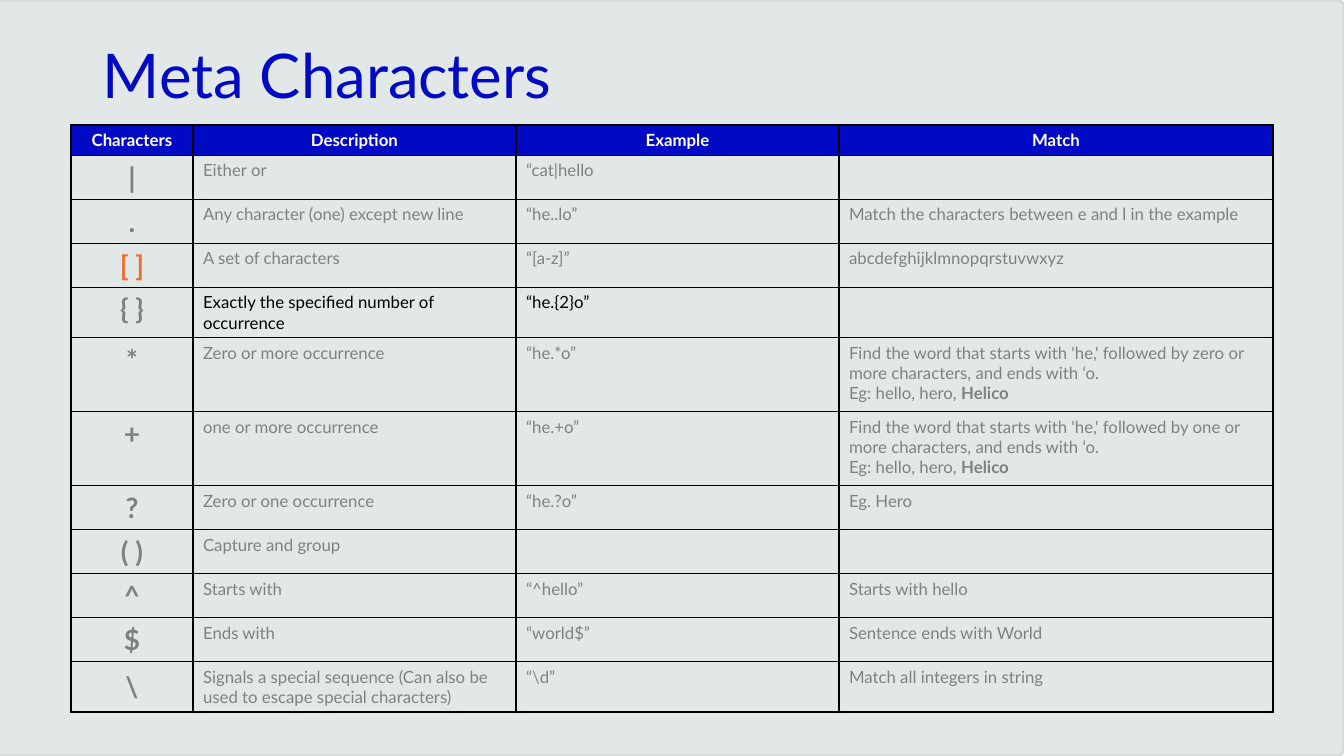
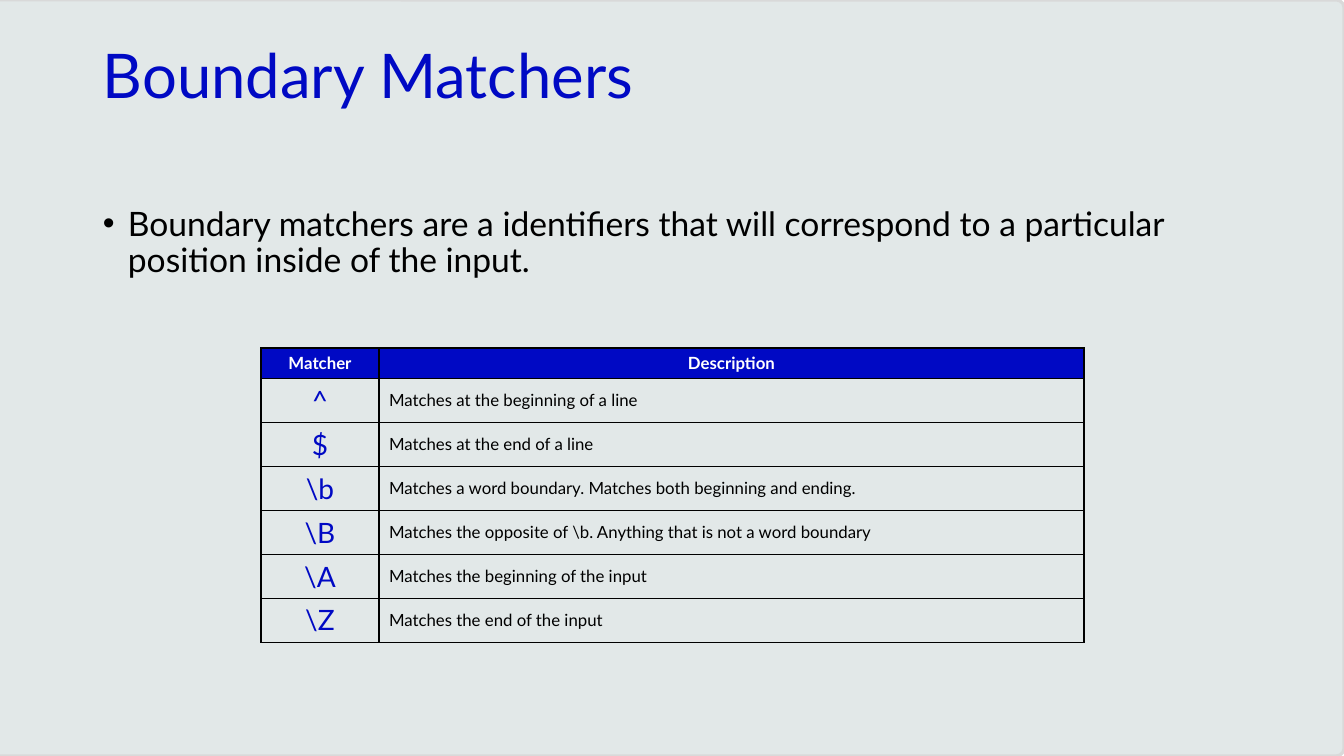
import pptx
import pptx.dml.color
import pptx.enum.shapes
import pptx.enum.text
import pptx.oxml
import pptx.oxml.ns
import pptx.util

SCALE = 914400 / 100.8
WIDE, HIGH = 1344, 756
FONT = "Lato"
COLORS = {
    "back": "E2E8E8",
    "edge": "D9D9D9",
    "blue": "0009C4",
    "white": "FFFFFF",
    "black": "000000",
    "gray": "808080",
    "orange": "E97132",
}
ALIGN = pptx.enum.text.PP_ALIGN
ANCHOR = pptx.enum.text.MSO_ANCHOR
ROW, HEAD = 44, 30

META = [
    ("|", "Either or", "“cat|hello", ""),
    (".", "Any character (one) except new line", "“he..lo”",
     "Match the characters between e and l in the example"),
    ("[ ]", "A set of characters", "“[a-z]”", "abcdefghijklmnopqrstuvwxyz"),
    ("{ }", "Exactly the specified number of occurrence", "“he.{2}o”", ""),
    ("*", "Zero or more occurrence", "“he.*o”",
     ["Find the word that starts with 'he,' followed by zero or more characters, and ends with ‘o.",
      ("Eg: hello, hero, ", "Helico")]),
    ("+", "one or more occurrence", "“he.+o”",
     ["Find the word that starts with 'he,' followed by one or more characters, and ends with ‘o.",
      ("Eg: hello, hero, ", "Helico")]),
    ("?", "Zero or one occurrence", "“he.?o”", "Eg. Hero"),
    ("( )", "Capture and group", "", ""),
    ("^", "Starts with", "“^hello”", "Starts with hello"),
    ("$", "Ends with", "“world$”", "Sentence ends with World"),
    ("\\", "Signals a special sequence (Can also be used to escape special characters)",
     r"“\d”", "Match all integers in string"),
]
BOUNDS = [
    ("^", "Matches at the beginning of a line"),
    ("$", "Matches at the end of a line"),
    (r"\b", "Matches a word boundary. Matches both beginning and ending."),
    (r"\B", r"Matches the opposite of \b. Anything that is not a word boundary"),
    (r"\A", "Matches the beginning of the input"),
    (r"\Z", "Matches the end of the input"),
]


def px(size):
    """Turn px into EMU."""
    return pptx.util.Emu(round(size * SCALE))


def rgb(name):
    """Look up a named colour."""
    return pptx.dml.color.RGBColor.from_string(COLORS[name])


def node(tag, **attrs):
    """Make one drawing element."""
    item = pptx.oxml.parse_xml(f"<{tag} {pptx.oxml.ns.nsdecls('a')}/>")
    for key, value in attrs.items():
        item.set(key, str(value))
    return item


def write(frame, text, size=12, color="black", bold=False, align=ALIGN.LEFT,
          space=None, before=None, bullet=False):
    """Write paragraphs; a tuple holds a plain part and a bold part."""
    frame.word_wrap = True
    for i, line in enumerate(text if isinstance(text, list) else [text]):
        para = frame.add_paragraph() if i else frame.paragraphs[0]
        para.alignment = align
        para.font.size = pptx.util.Pt(size)
        if space:
            para.line_spacing = space
        if before:
            para.space_before = pptx.util.Pt(before)
        if bullet:
            props = para._p.get_or_add_pPr()
            props.set("marL", str(px(25)))
            props.set("indent", str(-px(25)))
            mark = node("a:buChar", char="•")
            props.insert_element_before(mark, "a:tabLst", "a:defRPr", "a:extLst")
            mark.addprevious(node("a:buFont", typeface="Arial"))
        for j, part in enumerate(line if isinstance(line, tuple) else (line,)):
            if part:
                run = para.add_run()
                run.text = part
                run.font.name = FONT
                run.font.size = pptx.util.Pt(size)
                run.font.bold = bold or j > 0
                run.font.color.rgb = rgb(color)


def label(slide, box, text, **style):
    """Place a text box."""
    shape = slide.shapes.add_textbox(*map(px, box))
    write(shape.text_frame, text, **style)


def base(deck, title):
    """Add a slide with its panel and title."""
    slide = deck.slides.add_slide(deck.slide_layouts[6])
    panel = slide.shapes.add_shape(
        pptx.enum.shapes.MSO_SHAPE.ROUNDED_RECTANGLE,
        *map(px, (-12, 0, WIDE + 12, HIGH)))
    panel.adjustments[0] = 0.01
    panel.shadow.inherit = False
    panel.fill.solid()
    panel.fill.fore_color.rgb = rgb("back")
    panel.line.color.rgb = rgb("edge")
    panel.line.width = pptx.util.Pt(2.25)
    label(slide, (93, 40, 1159, 146), title, size=44, color="blue", space=0.9)
    return slide


def border(cell):
    """Draw a thin black line on all sides of a cell."""
    props = cell._tc.get_or_add_tcPr()
    for side in "LRTB":
        line = node(f"a:ln{side}", w=pptx.util.Pt(1))
        fill = node("a:solidFill")
        fill.append(node("a:srgbClr", val=COLORS["black"]))
        line.append(fill)
        props.append(line)


def grid(slide, left, top, cols, rows, heads, body, look):
    """Place a table, with body formats given by look(mark, column)."""
    frame = slide.shapes.add_table(
        len(rows), len(cols), *map(px, (left, top, sum(cols), sum(rows))))
    table = frame.table
    table.horz_banding = False
    for col, width in zip(table.columns, cols):
        col.width = px(width)
    for row, height in zip(table.rows, rows):
        row.height = px(height)
    for r, line in enumerate([heads, *body]):
        for c, text in enumerate(line):
            cell = table.cell(r, c)
            border(cell)
            if r:
                cell.fill.background()
                style = look(line[0], c)
            else:
                cell.fill.solid()
                cell.fill.fore_color.rgb = rgb("blue")
                style = dict(color="white", bold=True, align=ALIGN.CENTER)
            cell.vertical_anchor = style.pop("anchor", ANCHOR.TOP)
            write(cell.text_frame, text, **style)


def sign(mark, col):
    """Format a cell of the meta character table."""
    if col:
        return dict(color="black" if mark == "{ }" else "gray")
    return dict(size=20, bold=True, align=ALIGN.CENTER,
                color="orange" if mark == "[ ]" else "gray",
                anchor=ANCHOR.MIDDLE if mark in (".", "[ ]", "\\") else ANCHOR.TOP)


def bound(mark, col):
    """Format a cell of the boundary table."""
    if col:
        return dict(anchor=ANCHOR.MIDDLE)
    return dict(size=20, color="blue", align=ALIGN.CENTER, anchor=ANCHOR.MIDDLE)


def meta(deck):
    """Build the slide on meta characters."""
    slide = base(deck, "Meta Characters")
    rows = [HEAD] + [ROW] * 3 + [50] + [74] * 2 + [ROW] * 4 + [50]
    grid(slide, 71, 125, (122, 323, 323, 434), rows,
         ("Characters", "Description", "Example", "Match"), META, sign)


def bounds(deck):
    """Build the slide on boundary matchers."""
    slide = base(deck, "Boundary Matchers")
    label(slide, (93, 202, 1159, 480),
          "Boundary matchers are a identifiers that will correspond to a "
          "particular position inside of the input.",
          size=24, space=0.9, before=10, bullet=True)
    grid(slide, 261, 348, (118, 705), [HEAD] + [ROW] * len(BOUNDS),
         ("Matcher", "Description"), BOUNDS, bound)


def main():
    """Build and save the deck."""
    deck = pptx.Presentation()
    deck.slide_width, deck.slide_height = px(WIDE), px(HIGH)
    meta(deck)
    bounds(deck)
    deck.save("out.pptx")


if __name__ == "__main__":
    main()
